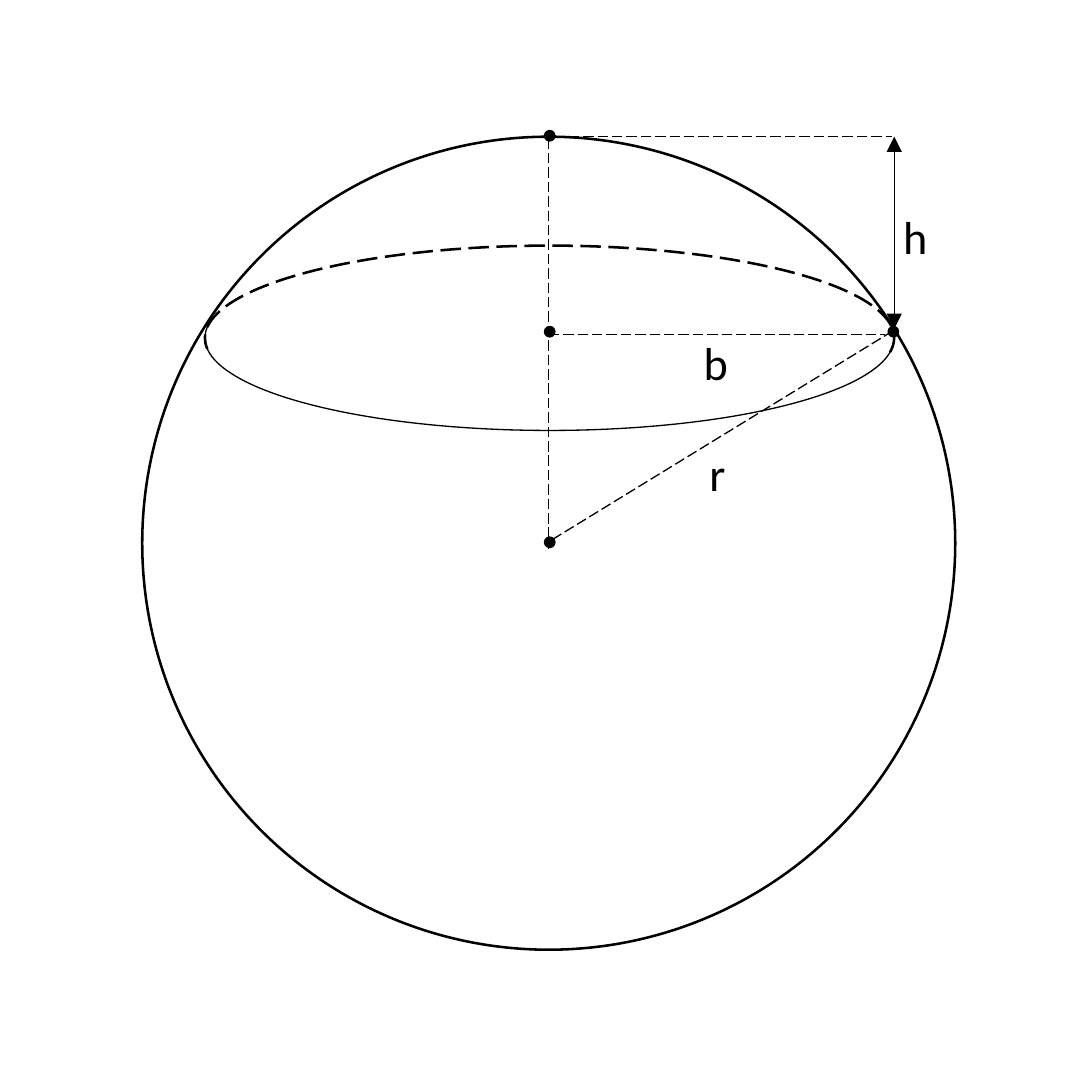
from pptx import Presentation
from pptx.dml.color import RGBColor as RGB
from pptx.enum.dml import MSO_LINE as Dash
from pptx.enum.shapes import MSO_CONNECTOR as Conn, MSO_SHAPE as Kind
from pptx.enum.text import MSO_AUTO_SIZE as Auto
from pptx.oxml.ns import qn
from pptx.util import Inches, Pt
from lxml.etree import SubElement as Sub

INK = {"line": "000000", "ball": "FFFFFF"}
THIN, BOLD = 0.5, 1

deck = Presentation()
deck.slide_width = deck.slide_height = Inches(5.91)
slide = deck.slides.add_slide(deck.slide_layouts[6])


def pen(item, width, dash=None):
    form = {"width": Pt(width), "dash_style": dash}
    item.line.color.rgb = RGB.from_string(INK["line"])
    for name, value in form.items():
        setattr(item.line, name, value)


def shape(kind, box, width, fill=None, dash=None):
    item = slide.shapes.add_shape(kind, *map(Inches, box))
    item.shadow.inherit = False
    if fill:
        item.fill.solid()
        item.fill.fore_color.rgb = RGB.from_string(INK[fill])
    else:
        item.fill.background()
    pen(item, width, dash)
    return item


# Sphere
shape(Kind.OVAL, (0.77, 0.74, 4.4, 4.4), BOLD, "ball")

# Base of the cap: front half solid, back half dashed
for back in (False, True):
    rim = shape(Kind.ARC, (1.11, 1.33, 3.73, 1), BOLD if back else THIN,
                dash=Dash.LONG_DASH if back else None)
    rim.adjustments[0] = 214.57
    rim.adjustments[1] = 109.1
    if back:
        rim.element.spPr.find(qn("a:xfrm")).set("flipV", "1")

# Dashed axis, base radius, sphere radius and top level; height arrow
for start, end, arrow in [
    ((2.97, 0.75), (2.97, 2.97), False),
    ((2.97, 1.81), (4.79, 1.81), False),
    ((2.99, 2.92), (4.85, 1.78), False),
    ((3, 0.74), (4.83, 0.74), False),
    ((4.84, 0.74), (4.84, 1.78), True),
]:
    line = slide.shapes.add_connector(Conn.STRAIGHT, *map(Inches, start + end))
    pen(line, THIN, None if arrow else Dash.LONG_DASH)
    if arrow:
        for tip in ("a:headEnd", "a:tailEnd"):
            Sub(line.line._get_or_add_ln(), qn(tip), type="triangle")
    Sub(line.element.spPr, qn("a:effectLst"))

# Points: sphere centre, rim, top, base centre
for left, top in [(2.95, 2.91), (4.81, 1.77), (2.95, 0.71), (2.95, 1.77)]:
    shape(Kind.OVAL, (left, top, 0.05, 0.05), BOLD, "line")

# Labels
look = {"name": "Calibri", "size": Pt(18)}
for text, left, top, wide in [
    ("r", 3.74, 2.36, 0.29), ("h", 4.79, 1.08, 0.34), ("b", 3.71, 1.76, 0.34),
]:
    label = slide.shapes.add_textbox(*map(Inches, (left, top, wide, 0.4)))
    frame = label.text_frame
    frame.word_wrap = False
    frame.auto_size = Auto.SHAPE_TO_FIT_TEXT
    run = frame.paragraphs[0].add_run()
    run.text = text
    run.font.color.rgb = RGB.from_string(INK["line"])
    for name, value in look.items():
        setattr(run.font, name, value)

deck.save("out.pptx")
